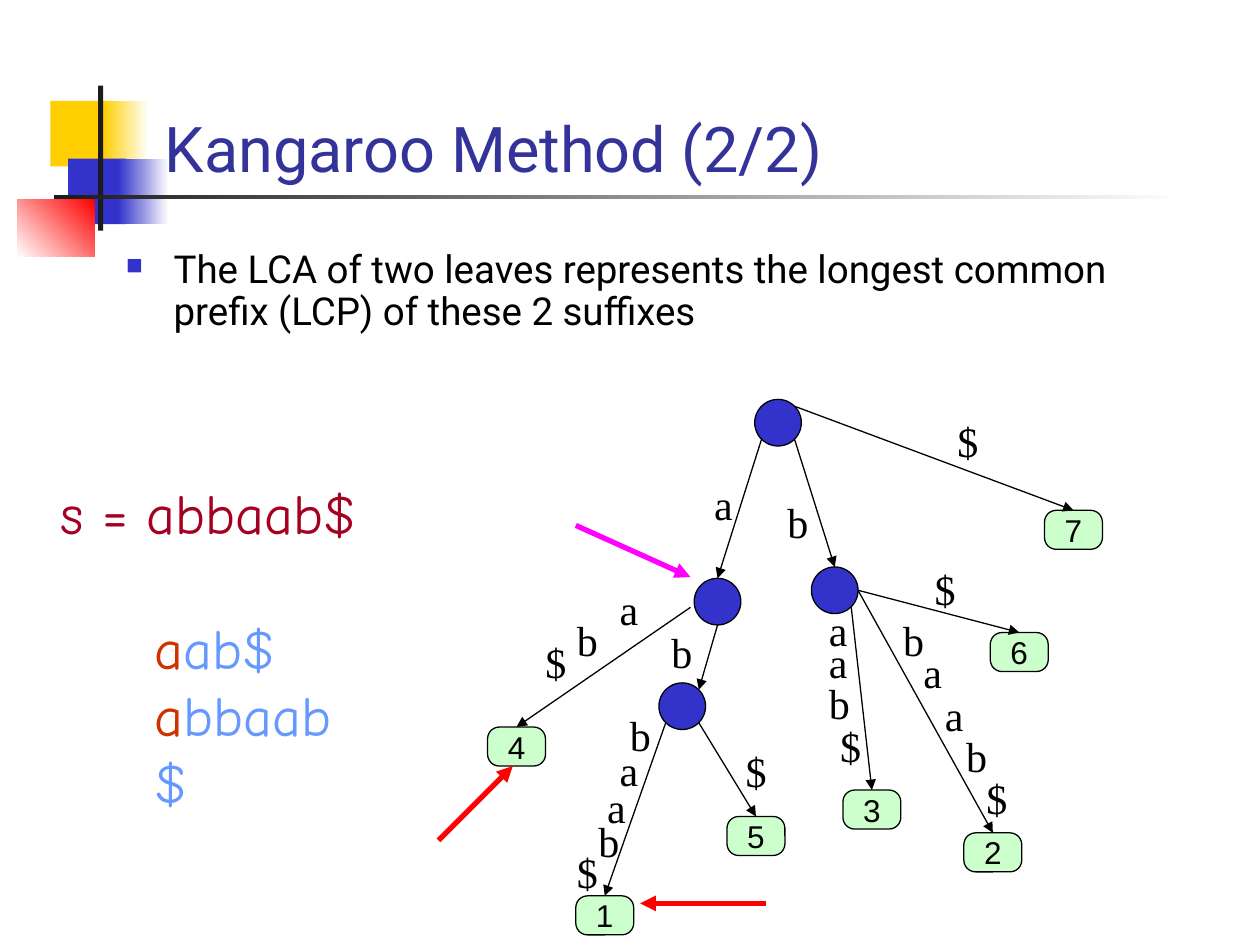
from dataclasses import dataclass
from math import cos, radians, sin
from typing import NamedTuple, Optional

from lxml import etree
from pptx import Presentation
from pptx.dml.color import RGBColor
from pptx.enum.shapes import MSO_CONNECTOR, MSO_SHAPE
from pptx.enum.text import MSO_ANCHOR, PP_ALIGN
from pptx.oxml.ns import qn
from pptx.util import Inches, Pt

RECT, OVAL, ROUNDED = MSO_SHAPE.RECTANGLE, MSO_SHAPE.OVAL, MSO_SHAPE.ROUNDED_RECTANGLE
STRAIGHT = MSO_CONNECTOR.STRAIGHT
COLUMNS, ROWS = 100, 75  # square grid cells of a tenth of an inch
TOP_SITE = 0
RADIUS = 1.85
LEAF_WIDTH, LEAF_HEIGHT = 4.6, 3.1
LETTER_WIDTH, LETTER_HEIGHT = 4.2, 5


@dataclass(frozen=True)
class Theme:
    heading: str = "Roboto"
    leaf_font: str = "Arial"
    letter_font: str = "Times New Roman"
    string_font: str = "Comic Neue"
    title_size: int = 36
    string_size: int = 32
    letter_size: int = 24
    body_size: int = 22
    leaf_size: int = 18
    thin: float = 0.75
    thick: float = 3
    white: str = "FFFFFF"
    black: str = "000000"
    yellow: str = "FFCF01"
    blue: str = "3333CC"
    red: str = "FF0000"
    charcoal: str = "1C1C1C"
    title: str = "333399"
    leaf: str = "CCFFCC"
    magenta: str = "FF00FF"
    crimson: str = "A50021"
    prefix: str = "CC3300"
    suffix: str = "6699FF"


THEME = Theme()


class Block(NamedTuple):
    col: float
    row: float
    width: float
    height: float
    start: str
    end: Optional[str] = None
    angle: int = 180


class Edge(NamedTuple):
    """Bearings run clockwise from east; without an end bearing the top is met."""
    parent: str
    child: str
    bearing: int
    letters: str
    spots: list
    end_bearing: Optional[int] = None
    gap: float = 0


class Pointer(NamedTuple):
    tail: tuple
    tip: tuple
    color: str


BLOCKS = [
    Block(4, 8, 4.8, 5.2, THEME.yellow),
    Block(8.2, 8, 3.6, 5.2, THEME.white, THEME.yellow),
    Block(5.4, 12.6, 4.6, 5.2, THEME.blue),
    Block(9.4, 12.6, 4, 5.2, THEME.white, THEME.blue),
    Block(1.4, 15.8, 6.1, 4.6, THEME.red, THEME.white, 225),
    Block(7.8, 6.8, 0.4, 11.5, THEME.charcoal),
    Block(4.3, 15.5, 90, 0.3, THEME.white, THEME.charcoal),
]

NODE_CENTERS = {"root": (61.75, 33.55), "a": (56.95, 47.75),
                "b": (66.25, 46.85), "ab": (54.15, 56.05)}
LEAF_TOPS = {"1": (48, 71.1), "2": (78.8, 66.1), "3": (69.2, 62.7), "4": (41, 57.7),
             "5": (60, 64.8), "6": (80.9, 50.2), "7": (85.2, 40.5)}

EDGES = [
    Edge("root", "a", 135, "a", [(55.7, 37.5)]),
    Edge("root", "b", 45, "b", [(61.5, 38.9)]),
    Edge("root", "7", -45, "$", [(75, 32.5)]),
    Edge("a", "ab", 90, "b", [(52.3, 49.2)], end_bearing=-45),
    Edge("a", "4", 168, "ab$", [(48.2, 45.8), (44.8, 48.3), (42.3, 50)], gap=0.35),
    Edge("ab", "1", 135, "baab$",
         [(49, 55.8), (48.2, 58.6), (47.2, 61.5), (46.5, 64.2), (44.8, 66.7)]),
    Edge("ab", "5", 45, "$", [(58.2, 58.7)]),
    Edge("b", "3", 45, "aab$", [(64.8, 47.5), (64.8, 50), (64.8, 53.3), (65.7, 56.7)]),
    Edge("b", "2", 0, "baab$",
         [(70.7, 48.3), (72.3, 50.8), (74, 54.2), (75.7, 57.5), (77.3, 60.8)]),
    Edge("b", "6", 0, "$", [(73.2, 44.2)]),
]

POINTERS = [
    Pointer((34.8, 66.7), (40.7, 60.8), THEME.red),
    Pointer((60.8, 71.7), (50.8, 71.7), THEME.red),
    Pointer((45.7, 41.7), (54.8, 45.8), THEME.magenta),
]


def cells(*counts: float) -> list:
    return [Inches(count / 10) for count in counts]


def add_run(paragraph, text: str, font: str, size: int, color: str) -> None:
    run = paragraph.add_run()
    run.text = text
    run.font.name, run.font.size = font, Pt(size)
    run.font.color.rgb = RGBColor.from_string(color)


def add_box(slide, col: float, row: float, width: float, height: float, wrap=True):
    frame = slide.shapes.add_textbox(*cells(col, row, width, height)).text_frame
    frame.word_wrap = wrap
    return frame


def add_figure(slide, kind, place: tuple, color: str, outlined: bool = True):
    figure = slide.shapes.add_shape(kind, *cells(*place))
    figure.shadow.inherit = False
    figure.fill.solid()
    figure.fill.fore_color.rgb = RGBColor.from_string(color)
    if outlined:
        figure.line.color.rgb = RGBColor.from_string(THEME.black)
        figure.line.width = Pt(THEME.thin)
    else:
        figure.line.fill.background()
    return figure


def add_block(slide, block: Block) -> None:
    figure = add_figure(slide, RECT, block[:4], block.start, outlined=False)
    if block.end:
        figure.fill.gradient()
        figure.fill.gradient_angle = block.angle
        for stop, color in zip(figure.fill.gradient_stops, (block.start, block.end)):
            stop.color.rgb = RGBColor.from_string(color)


def add_node(slide, x: float, y: float):
    place = (x - RADIUS, y - RADIUS, 2 * RADIUS, 2 * RADIUS)
    return add_figure(slide, OVAL, place, THEME.blue)


def add_leaf(slide, number: str, x: float, top: float):
    place = (x - LEAF_WIDTH / 2, top, LEAF_WIDTH, LEAF_HEIGHT)
    leaf = add_figure(slide, ROUNDED, place, THEME.leaf)
    leaf.adjustments[0] = 0.3
    frame = leaf.text_frame
    frame.word_wrap, frame.vertical_anchor = False, MSO_ANCHOR.MIDDLE
    label = frame.paragraphs[0]
    label.alignment = PP_ALIGN.CENTER
    add_run(label, number, THEME.leaf_font, THEME.leaf_size, THEME.black)
    return leaf


def add_arrow(slide, tail: tuple, tip: tuple, color: str, width: float):
    arrow = slide.shapes.add_connector(STRAIGHT, *cells(*tail, *tip))
    arrow.line.color.rgb = RGBColor.from_string(color)
    arrow.line.width = Pt(width)
    etree.SubElement(arrow.line._get_or_add_ln(), qn("a:tailEnd"), type="triangle")
    etree.SubElement(arrow._element.spPr, qn("a:effectLst"))
    return arrow


def on_rim(node: str, bearing: int, gap: float = 0) -> tuple:
    x, y = NODE_CENTERS[node]
    reach, angle = RADIUS + gap, radians(bearing)
    return x + reach * cos(angle), y + reach * sin(angle)


def add_edge(slide, edge: Edge, figures: dict) -> None:
    start = on_rim(edge.parent, edge.bearing, edge.gap)
    if edge.end_bearing is None:
        arrow = add_arrow(slide, start, start, THEME.black, THEME.thin)
        arrow.end_connect(figures[edge.child], TOP_SITE)
    else:
        end = on_rim(edge.child, edge.end_bearing)
        add_arrow(slide, start, end, THEME.black, THEME.thin)
    for letter, spot in zip(edge.letters, edge.spots):
        frame = add_box(slide, *spot, LETTER_WIDTH, LETTER_HEIGHT)
        add_run(frame.paragraphs[0], letter, THEME.letter_font, THEME.letter_size, THEME.black)


def add_statement(slide) -> None:
    paragraph = add_box(slide, 9, 19.4, 86.1, 8.3).paragraphs[0]
    paragraph.line_spacing = 0.9
    props = paragraph._p.get_or_add_pPr()
    props.set("marL", str(Inches(0.38)))
    props.set("indent", str(-Inches(0.38)))
    bullet_color = etree.SubElement(props, qn("a:buClr"))
    etree.SubElement(bullet_color, qn("a:srgbClr"), val=THEME.blue)
    etree.SubElement(props, qn("a:buSzPct"), val="60000")
    etree.SubElement(props, qn("a:buChar"), char="■")
    add_run(paragraph, "The LCA of two leaves represents the longest common prefix (LCP) "
            "of these 2 suffixes", THEME.heading, THEME.body_size, THEME.black)


def add_strings(slide) -> None:
    frame = add_box(slide, 3.8, 37.5, 26.1, 27.7, wrap=False)
    style = THEME.string_font, THEME.string_size
    add_run(frame.paragraphs[0], "s = abbaab$", *style, THEME.crimson)
    for rest, space in (("ab$", 38.5), ("bbaab$", 0)):
        suffix = frame.add_paragraph()
        suffix.space_before = Pt(space)
        suffix._p.get_or_add_pPr().set("marL", str(Inches(0.75)))
        add_run(suffix, "a", *style, THEME.prefix)
        add_run(suffix, rest, *style, THEME.suffix)


def main() -> None:
    deck = Presentation()
    deck.slide_width, deck.slide_height = cells(COLUMNS, ROWS)
    slide = deck.slides.add_slide(deck.slide_layouts[6])
    for block in BLOCKS:
        add_block(slide, block)
    title = add_box(slide, 12.1, 2.7, 85.2, 12.5)
    title.vertical_anchor = MSO_ANCHOR.BOTTOM
    add_run(title.paragraphs[0], "Kangaroo Method (2/2)",
            THEME.heading, THEME.title_size, THEME.title)
    add_statement(slide)
    add_strings(slide)
    figures = {name: add_node(slide, *center) for name, center in NODE_CENTERS.items()}
    figures |= {number: add_leaf(slide, number, *top) for number, top in LEAF_TOPS.items()}
    for edge in EDGES:
        add_edge(slide, edge, figures)
    for pointer in POINTERS:
        add_arrow(slide, *pointer, THEME.thick)
    deck.save("out.pptx")


if __name__ == "__main__":
    main()
